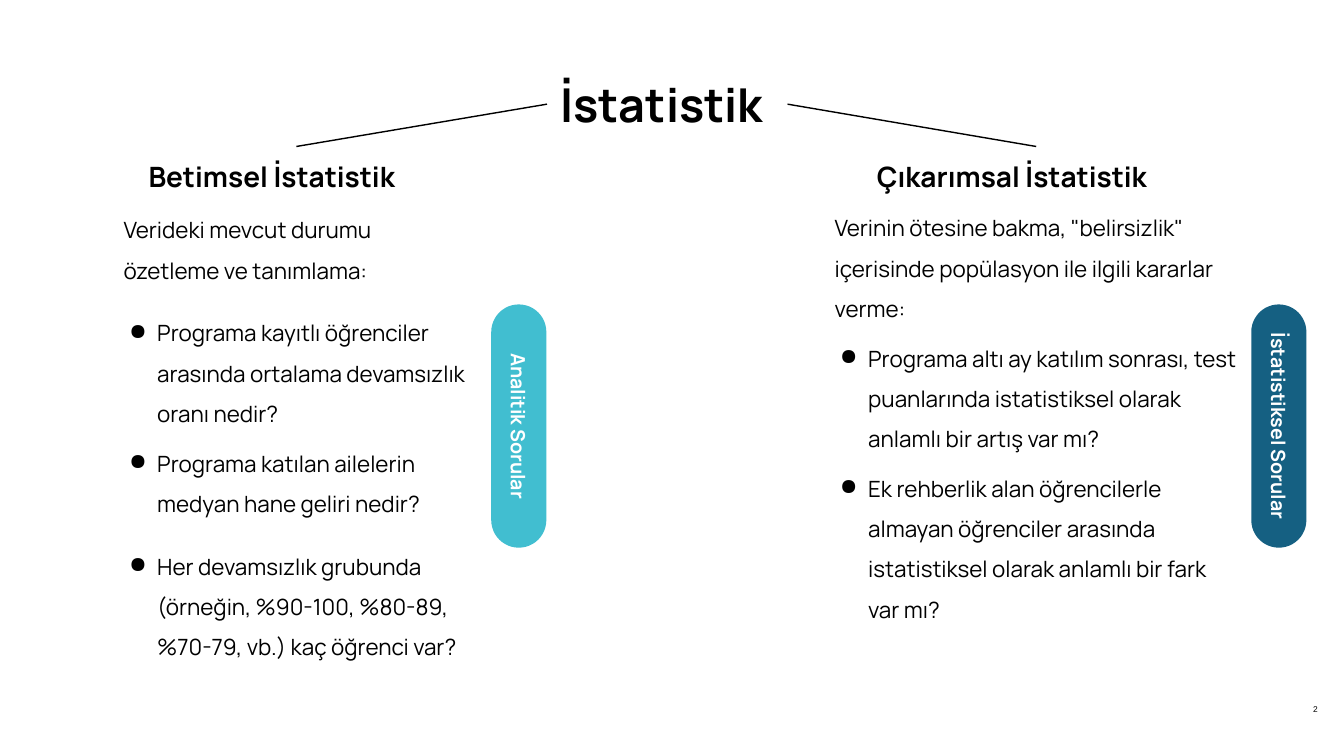
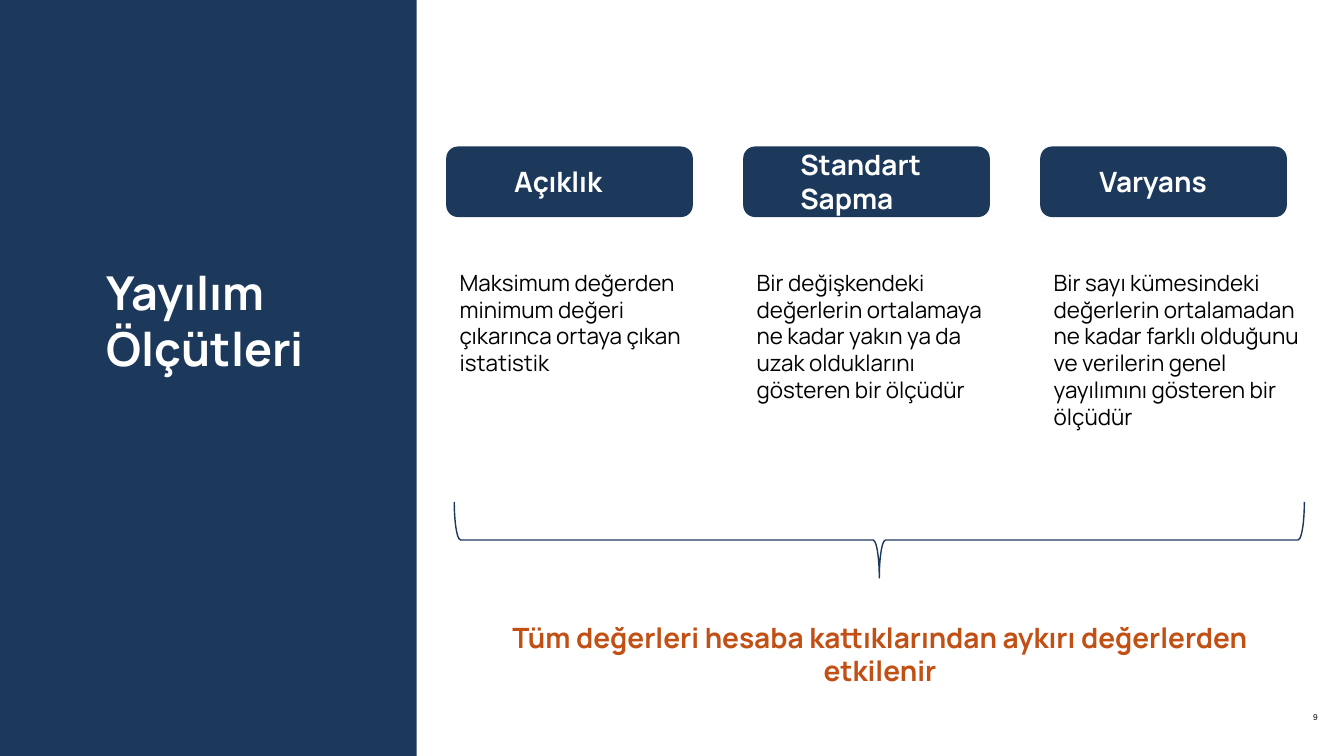
import pptx
import pptx.dml.color
import pptx.enum.shapes
import pptx.enum.text
import pptx.oxml.ns
import pptx.util
from lxml import etree

Inches = pptx.util.Inches
Pt = pptx.util.Pt
SHAPES = pptx.enum.shapes.MSO_SHAPE
ALIGN = pptx.enum.text.PP_ALIGN
ANCHOR = pptx.enum.text.MSO_ANCHOR

COLORS = {
    "black": "000000",
    "white": "FFFFFF",
    "navy": "1C395C",
    "turquoise": "41BED0",
    "teal": "156082",
    "orange": "C25014",
}
FONT = "Manrope"
TITLE_SIZE, HEADING_SIZE, BODY_SIZE, PILL_SIZE = 50, 30, 24, 21


def rgb(name):
    """Return the palette colour with the given name."""
    return pptx.dml.color.RGBColor.from_string(COLORS[name])


def write_paragraph(paragraph, text, size, color="black", bold=False,
                    align=ALIGN.LEFT, font=FONT):
    """Fill a paragraph and format its runs."""
    paragraph.text = text
    paragraph.alignment = align
    for run in paragraph.runs:
        run.font.name = font
        run.font.size = Pt(size)
        run.font.bold = bold
        run.font.color.rgb = rgb(color)


def set_frame(text_frame, inset, anchor):
    """Wrap a text frame and set its insets and anchor."""
    text_frame.word_wrap = True
    text_frame.vertical_anchor = anchor
    for side in ("left", "top", "right", "bottom"):
        setattr(text_frame, f"margin_{side}", Inches(inset))


def add_text(slide, box, text, size, anchor=ANCHOR.TOP, **style):
    """Add a text box and return its text frame."""
    text_frame = slide.shapes.add_textbox(*map(Inches, box)).text_frame
    set_frame(text_frame, 0.2, anchor)
    write_paragraph(text_frame.paragraphs[0], text, size, **style)
    return text_frame


def add_filled_shape(slide, kind, box, color):
    """Add a preset shape with a plain fill and no outline."""
    shape = slide.shapes.add_shape(kind, *map(Inches, box))
    shape.shadow.inherit = False
    shape.fill.solid()
    shape.fill.fore_color.rgb = rgb(color)
    shape.line.fill.background()
    return shape


def add_line(slide, start, end):
    """Add a thin black connector between two points."""
    line = slide.shapes.add_connector(
        pptx.enum.shapes.MSO_CONNECTOR.STRAIGHT, *map(Inches, start + end))
    line.line.color.rgb = rgb("black")
    line.line.width = Pt(1.5)
    properties = line._element.spPr
    etree.SubElement(properties, pptx.oxml.ns.qn("a:effectLst"))


def add_page_number(slide, number, top, height):
    """Add the small page number at the lower right."""
    add_text(slide, (18.61, top, 1.2, height), number, 9,
             anchor=ANCHOR.MIDDLE, align=ALIGN.RIGHT, font="Arial")


def add_bullet(paragraph):
    """Give a paragraph a round black bullet with a hanging indent."""
    properties = paragraph._p.get_or_add_pPr()
    properties.set("marL", str(Inches(0.5)))
    properties.set("indent", str(Inches(-0.42)))
    color = etree.SubElement(properties, pptx.oxml.ns.qn("a:buClr"))
    etree.SubElement(color, pptx.oxml.ns.qn("a:srgbClr"), val=COLORS["black"])
    etree.SubElement(properties, pptx.oxml.ns.qn("a:buChar"), char="●")


def add_pill(slide, box, text, color):
    """Add a rounded label turned a quarter, occupying the upright box."""
    left, top, width, height = box
    shift = (height - width) / 2
    pill = add_filled_shape(slide, SHAPES.ROUNDED_RECTANGLE,
                            (left - shift, top + shift, height, width), color)
    pill.adjustments[0] = 0.5
    pill.rotation = 90
    set_frame(pill.text_frame, 0.15, ANCHOR.MIDDLE)
    write_paragraph(pill.text_frame.paragraphs[0], text, PILL_SIZE, "white",
                    bold=True, align=ALIGN.CENTER)


def add_branch(slide, box, heading, heading_box, intro, questions, pill):
    """Add one branch of statistics: heading, questions and upright label."""
    left, top, width, height = box
    heading_offset, heading_width = heading_box
    add_text(slide, (left + heading_offset, 2.18, heading_width, 0.91),
             heading, HEADING_SIZE, bold=True)
    text_frame = add_text(slide, box, intro, BODY_SIZE)
    for question, space_before in questions:
        paragraph = text_frame.add_paragraph()
        add_bullet(paragraph)
        paragraph.space_before = Pt(space_before)
        write_paragraph(paragraph, question, BODY_SIZE)
    for paragraph in text_frame.paragraphs:
        paragraph.line_spacing = 1.5
    text_frame.paragraphs[-1].space_after = Pt(10)
    pill_offset, pill_text, pill_color = pill
    add_pill(slide, (left + pill_offset, 4.53, 0.82, 3.62), pill_text, pill_color)


def build_statistics_slide(slide):
    """Build the tree of descriptive and inferential statistics."""
    add_page_number(slide, "2", 10.28, 0.56)
    add_text(slide, (8.14, 0.93, 3.58, 1.25), "İstatistik", TITLE_SIZE, bold=True)
    add_line(slide, (8.14, 1.55), (4.41, 2.18))
    add_line(slide, (11.72, 1.55), (15.42, 2.18))
    add_branch(
        slide, (1.64, 2.82, 5.54, 7.68), "Betimsel İstatistik", (0.37, 4.81),
        "Verideki mevcut durumu özetleme ve tanımlama:",
        [("Programa kayıtlı öğrenciler arasında ortalama devamsızlık oranı nedir?", 24),
         ("Programa katılan ailelerin medyan hane geliri nedir?", 10),
         ("Her devamsızlık grubunda (örneğin, %90-100, %80-89, %70-79, vb.) "
          "kaç öğrenci var?", 24)],
        (5.67, "Analitik Sorular", "turquoise"))
    add_branch(
        slide, (12.22, 2.79, 6.4, 6.54), "Çıkarımsal İstatistik", (0.63, 5.13),
        'Verinin ötesine bakma, "belirsizlik" içerisinde popülasyon ile ilgili '
        "kararlar verme:",
        [("Programa altı ay katılım sonrası, test puanlarında istatistiksel olarak "
          "anlamlı bir artış var mı?", 10),
         ("Ek rehberlik alan öğrencilerle almayan öğrenciler arasında istatistiksel "
          "olarak anlamlı bir fark var mı?", 10)],
        (6.4, "İstatistiksel Sorular", "teal"))


def add_measure(slide, box, name, name_size, definition):
    """Add one measure: a named card with its definition below."""
    left, top, width, height = box
    add_filled_shape(slide, SHAPES.ROUNDED_RECTANGLE, box, "navy")
    name_width, name_height = name_size
    add_text(slide, (left + (width - name_width) / 2, top + (height - name_height) / 2,
                     name_width, name_height),
             name, HEADING_SIZE, color="white", bold=True)
    add_text(slide, (left, top + 1.62, 4.05, 3.3), definition, BODY_SIZE)


def add_brace(slide, box):
    """Add a brace that opens upward across the given box."""
    left, top, width, height = box
    shift = (width - height) / 2
    brace = slide.shapes.add_shape(
        SHAPES.LEFT_BRACE,
        *map(Inches, (left + shift, top - shift, height, width)))
    brace.rotation = 270
    brace.shadow.inherit = False
    brace.fill.background()
    brace.line.color.rgb = rgb("navy")
    brace.line.width = Pt(1.5)


def build_spread_slide(slide):
    """Build the measures of spread beside a navy title panel."""
    add_filled_shape(slide, SHAPES.RECTANGLE, (0, -0.08, 6.2, 11.42), "navy")
    add_text(slide, (1.39, 3.73, 4.81, 2.09), "Yayılım Ölçütleri", TITLE_SIZE,
             color="white", bold=True)
    add_page_number(slide, "9", 10.24, 0.86)
    measures = [
        ("Açıklık", (2.05, 0.91),
         "Maksimum değerden minimum değeri çıkarınca ortaya çıkan istatistik"),
        ("Standart Sapma", (2.37, 1.41),
         "Bir değişkendeki değerlerin ortalamaya ne kadar yakın ya da uzak "
         "olduklarını gösteren bir ölçüdür"),
        ("Varyans", (2.31, 0.91),
         "Bir sayı kümesindeki değerlerin ortalamadan ne kadar farklı olduğunu "
         "ve verilerin genel yayılımını gösteren bir ölçüdür"),
    ]
    for index, measure in enumerate(measures):
        add_measure(slide, (6.64 + 4.42 * index, 2.18, 3.67, 1.05), *measure)
    add_brace(slide, (6.76, 7.47, 12.65, 1.13))
    add_text(slide, (7.02, 9.03, 12.15, 1.41),
             "Tüm değerleri hesaba kattıklarından aykırı değerlerden etkilenir",
             HEADING_SIZE, color="orange", bold=True, align=ALIGN.CENTER)


def main():
    """Create the presentation and save it."""
    presentation = pptx.Presentation()
    presentation.slide_width = Inches(20)
    presentation.slide_height = Inches(11.25)
    for build in (build_statistics_slide, build_spread_slide):
        build(presentation.slides.add_slide(presentation.slide_layouts[6]))
    presentation.save("out.pptx")


if __name__ == "__main__":
    main()
